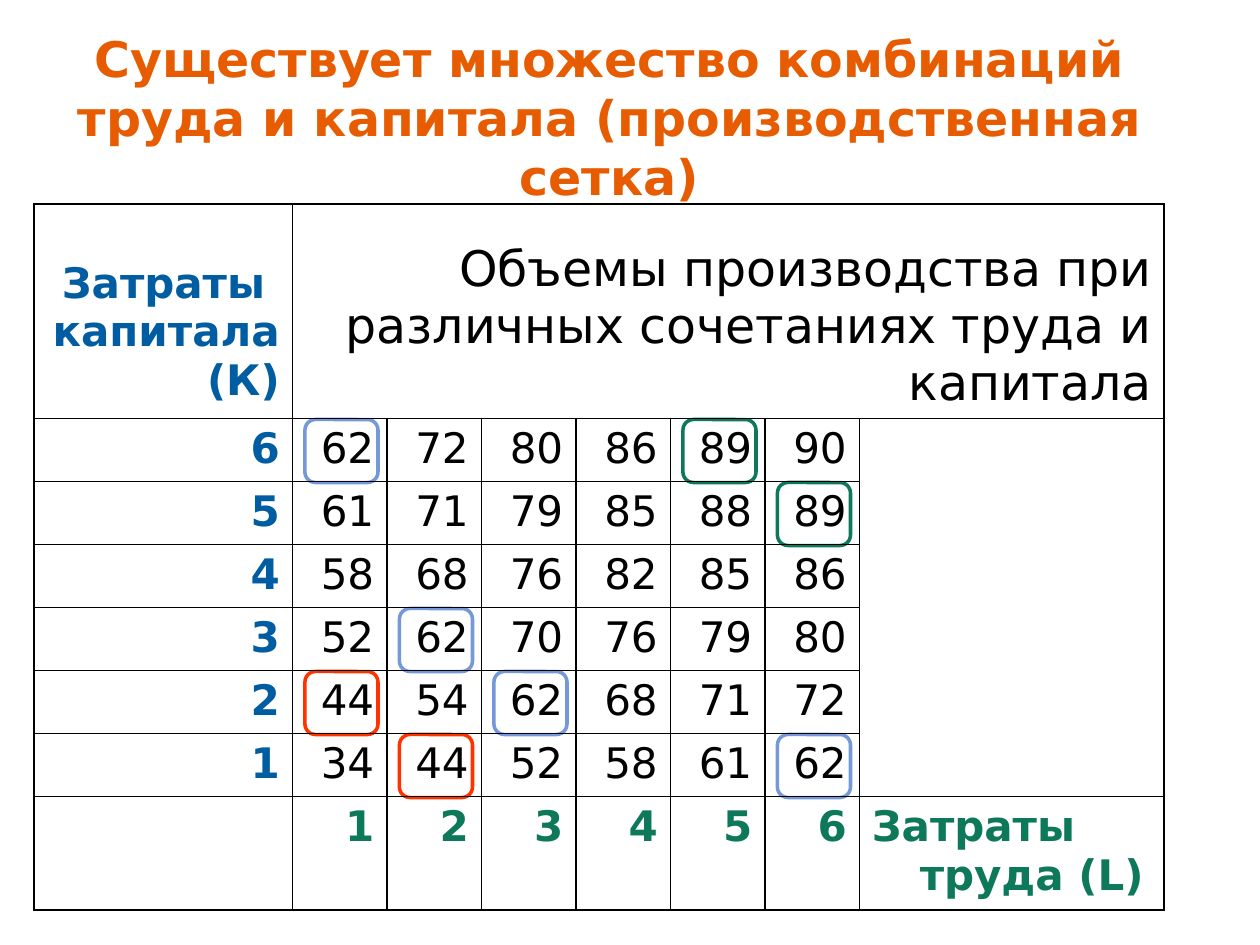
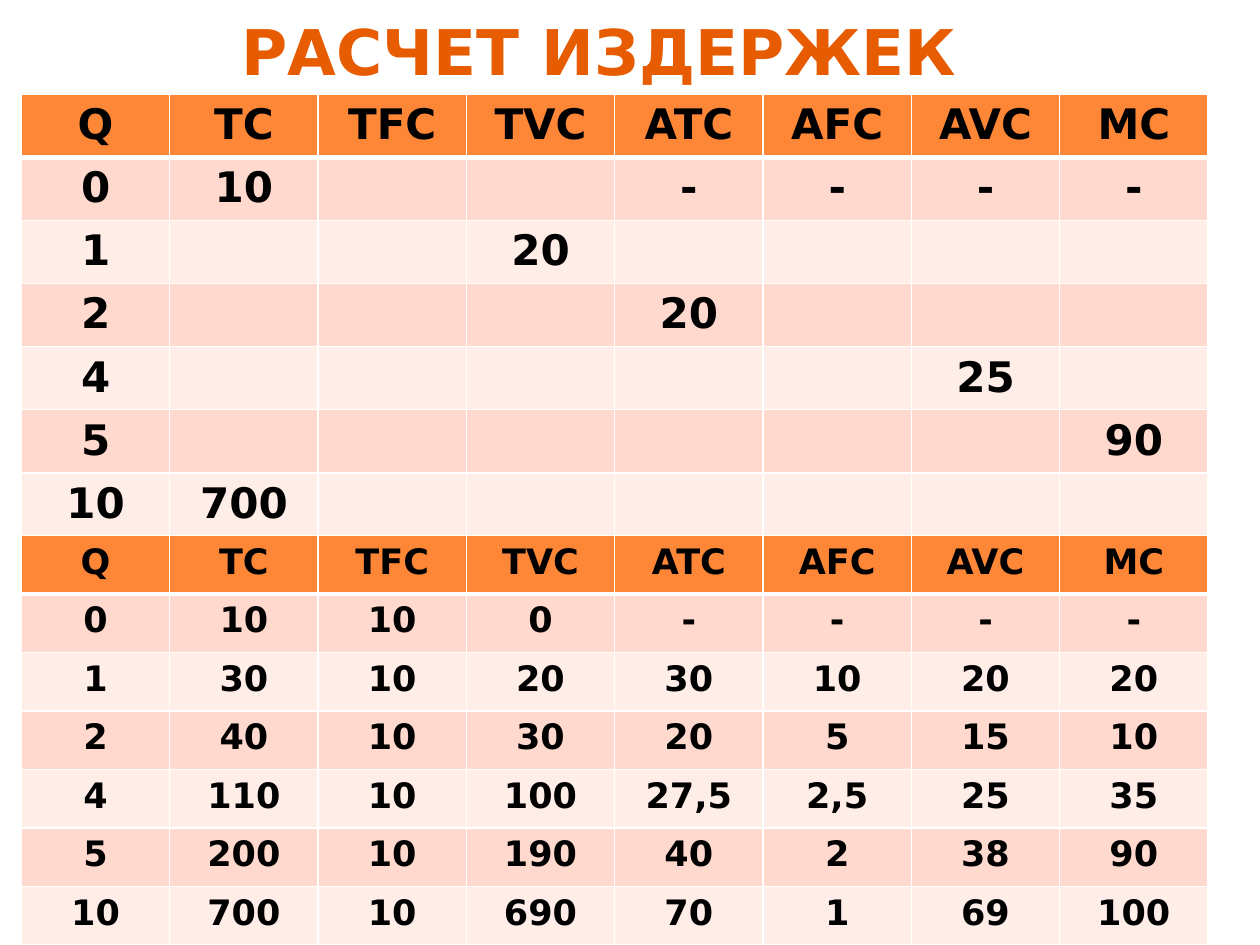
from pptx import Presentation
from pptx.dml.color import RGBColor
from pptx.enum.shapes import MSO_SHAPE
from pptx.enum.text import MSO_ANCHOR, PP_ALIGN
from pptx.oxml import parse_xml
from pptx.oxml.ns import nsdecls
from pptx.util import Inches, Pt

FONT = "DejaVu Sans"
WHITE = RGBColor(0xFF, 0xFF, 0xFF)
BLACK = RGBColor(0x00, 0x00, 0x00)
TITLE_ORANGE = RGBColor(0xE7, 0x5C, 0x01)
HEADER_ORANGE = RGBColor(0xFE, 0x86, 0x37)
BAND_DARK = RGBColor(0xFF, 0xD9, 0xCE)
BAND_LIGHT = RGBColor(0xFF, 0xED, 0xE8)
CAPITAL_BLUE = RGBColor(0x00, 0x5D, 0xA2)
LABOUR_GREEN = RGBColor(0x0D, 0x79, 0x5A)
SOFT_BLUE = RGBColor(0x75, 0x98, 0xD9)
RED = RGBColor(0xFF, 0x33, 0x00)

ISOQUANT_COLOURS = {89: LABOUR_GREEN, 62: SOFT_BLUE, 44: RED}
OUTPUTS = {
    6: [62, 72, 80, 86, 89, 90],
    5: [61, 71, 79, 85, 88, 89],
    4: [58, 68, 76, 82, 85, 86],
    3: [52, 62, 70, 76, 79, 80],
    2: [44, 54, 62, 68, 71, 72],
    1: [34, 44, 52, 58, 61, 62],
}
COST_NAMES = ["Q", "TC", "TFC", "TVC", "ATC", "AFC", "AVC", "MC"]
COST_TASK = [
    ["0", "10", "", "", "-", "-", "-", "-"],
    ["1", "", "", "20", "", "", "", ""],
    ["2", "", "", "", "20", "", "", ""],
    ["4", "", "", "", "", "", "25", ""],
    ["5", "", "", "", "", "", "", "90"],
    ["10", "700", "", "", "", "", "", ""],
]
COST_ANSWER = [
    ["0", "10", "10", "0", "-", "-", "-", "-"],
    ["1", "30", "10", "20", "30", "10", "20", "20"],
    ["2", "40", "10", "30", "20", "5", "15", "10"],
    ["4", "110", "10", "100", "27,5", "2,5", "25", "35"],
    ["5", "200", "10", "190", "40", "2", "38", "90"],
    ["10", "700", "10", "690", "70", "1", "69", "100"],
]


class SlideBuilder:
    """Holds the deck, its shared style and the page being filled."""

    def __init__(self):
        self.deck = Presentation()
        self.deck.slide_width = Inches(10)
        self.deck.slide_height = Inches(7.5)
        self.page = None

    def new_page(self):
        self.page = self.deck.slides.add_slide(self.deck.slide_layouts[6])

    def add_text(self, paragraph, text, size, colour, bold=True, align=PP_ALIGN.CENTER):
        paragraph.alignment = align
        span = paragraph.add_run()
        span.text = text
        span.font.name = FONT
        span.font.size = Pt(size)
        span.font.bold = bold
        span.font.color.rgb = colour

    def title(self, text, left, top, width, height, size, anchor):
        box = self.page.shapes.add_textbox(
            Inches(left), Inches(top), Inches(width), Inches(height))
        box.text_frame.word_wrap = True
        box.text_frame.vertical_anchor = anchor
        self.add_text(box.text_frame.paragraphs[0], text, size, TITLE_ORANGE)

    def marker(self, left, top, colour):
        frame = self.page.shapes.add_shape(
            MSO_SHAPE.ROUNDED_RECTANGLE,
            Inches(left), Inches(top), Inches(0.58), Inches(0.5))
        frame.shadow.inherit = False
        frame.fill.solid()
        frame.fill.fore_color.rgb = WHITE
        frame.line.color.rgb = colour
        frame.line.width = Pt(2)

    def table(self, left, top, widths, heights):
        table = self.page.shapes.add_table(
            len(heights), len(widths), Inches(left), Inches(top),
            Inches(sum(widths)), Inches(sum(heights))).table
        table.first_row = table.horz_banding = False
        for column, width in zip(table.columns, widths):
            column.width = Inches(width)
        for row, height in zip(table.rows, heights):
            row.height = Inches(height)
        return table

    def borders(self, cell, colour, top=1, bottom=1):
        """Draw all four edges; the width of top and bottom is in points."""
        properties = cell._tc.get_or_add_tcPr()
        edges = {"lnL": 1, "lnR": 1, "lnT": top, "lnB": bottom}
        for position, (edge, width) in enumerate(edges.items()):
            properties.insert(position, parse_xml(
                f'<a:{edge} {nsdecls("a")} w="{Pt(width)}"><a:solidFill>'
                f'<a:srgbClr val="{colour}"/></a:solidFill></a:{edge}>'))

    def grid_text(self, cell, lines, colour, bold=True, align=PP_ALIGN.RIGHT):
        """Fill a cell with paragraphs that have a hanging indent."""
        frame = cell.text_frame
        for index, line in enumerate(lines):
            paragraph = frame.add_paragraph() if index else frame.paragraphs[0]
            properties = paragraph._p.get_or_add_pPr()
            properties.set("marL", str(Inches(0.38)))
            properties.set("indent", str(-Inches(0.38)))
            self.add_text(paragraph, line, 24, colour, bold, align)

    def cost_table(self, top, height, rows, size):
        rows = [COST_NAMES] + rows
        columns = len(COST_NAMES)
        table = self.table(0.17, top, [9.42 / columns] * columns,
                           [height / len(rows)] * len(rows))
        for row, values in enumerate(rows):
            band = BAND_DARK if row % 2 else BAND_LIGHT
            for column, value in enumerate(values):
                cell = table.cell(row, column)
                cell.fill.solid()
                cell.fill.fore_color.rgb = HEADER_ORANGE if row == 0 else band
                self.borders(cell, WHITE, top=3 if row == 1 else 1,
                             bottom=3 if row == 0 else 1)
                if value:
                    self.add_text(cell.text_frame.paragraphs[0], value, size, BLACK)


def production_grid(builder):
    builder.new_page()
    for row, outputs in enumerate(OUTPUTS.values()):
        for column, output in enumerate(outputs):
            if output in ISOQUANT_COLOURS:
                builder.marker(2.42 + 0.75 * column, 3.33 + 0.5 * row,
                               ISOQUANT_COLOURS[output])
    builder.title("Существует множество комбинаций труда и капитала "
                  "(производственная сетка)",
                  0.25, 0.17, 9.17, 1.51, 28, MSO_ANCHOR.MIDDLE)

    table = builder.table(0.27, 1.62, [2.05] + [0.75] * 6 + [2.42],
                          [1.7] + [0.5] * 6 + [0.9])
    for cell in table.iter_cells():
        cell.fill.background()
        builder.borders(cell, BLACK)
    table.cell(0, 1).merge(table.cell(0, 7))
    table.cell(1, 7).merge(table.cell(6, 7))

    capital_head, output_head = table.cell(0, 0), table.cell(0, 1)
    capital_head.vertical_anchor = output_head.vertical_anchor = MSO_ANCHOR.BOTTOM
    capital_head.margin_bottom = Inches(0.1)
    builder.grid_text(capital_head, ["Затраты ", "капитала (К)"], CAPITAL_BLUE)
    builder.add_text(output_head.text_frame.paragraphs[0],
                     "Объемы производства при различных сочетаниях труда и капитала",
                     28, BLACK, False, PP_ALIGN.RIGHT)
    for row, (capital, outputs) in enumerate(OUTPUTS.items(), 1):
        builder.grid_text(table.cell(row, 0), [str(capital)], CAPITAL_BLUE)
        for column, output in enumerate(outputs, 1):
            builder.grid_text(table.cell(row, column), [str(output)], BLACK, False)
    for labour in range(1, 7):
        builder.grid_text(table.cell(7, labour), [str(labour)], LABOUR_GREEN)
    builder.grid_text(table.cell(7, 7), ["Затраты труда (L)"], LABOUR_GREEN,
                      align=PP_ALIGN.JUSTIFY)


def cost_calculation(builder):
    builder.new_page()
    builder.title("РАСЧЕТ ИЗДЕРЖЕК", 0.67, 0, 8.17, 0.75, 36, MSO_ANCHOR.BOTTOM)
    builder.cost_table(0.75, 3.42, COST_TASK, 24)
    builder.cost_table(4.25, 3.25, COST_ANSWER, 20)


def main():
    builder = SlideBuilder()
    production_grid(builder)
    cost_calculation(builder)
    builder.deck.save("out.pptx")


if __name__ == "__main__":
    main()
